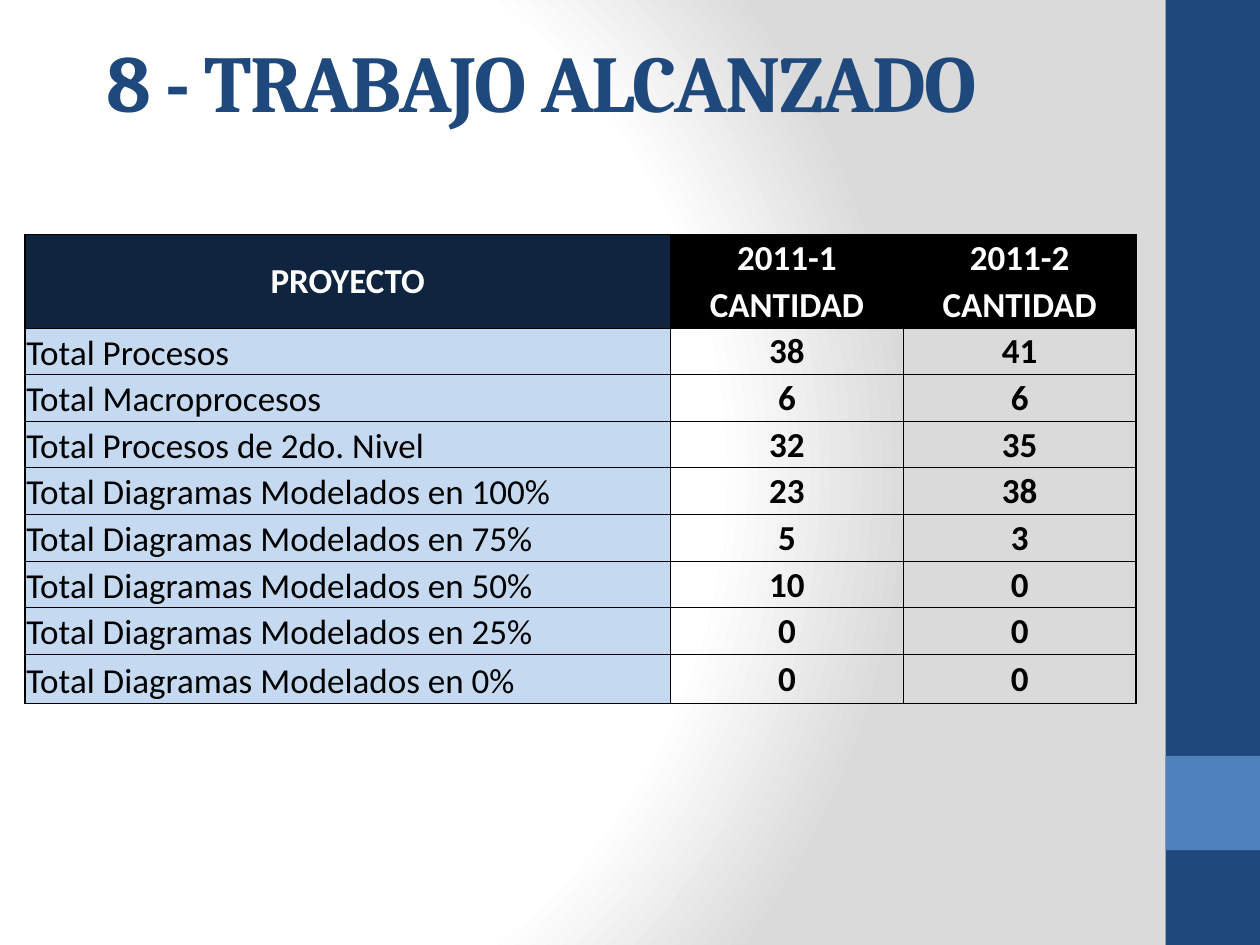
import pptx
import pptx.dml.color
import pptx.enum.shapes
import pptx.enum.text
import pptx.oxml
import pptx.oxml.ns
import pptx.util
from pptx.util import Cm, Pt

ANCHOR = pptx.enum.text.MSO_ANCHOR
ALIGN = pptx.enum.text.PP_ALIGN
NAVY, BLUE, HEADER, LABEL = "1F497D", "4F81BD", "0F243E", "C5D9F1"
WHITE, BLACK = "FFFFFF", "000000"

ROWS = [
    ("PROYECTO", "2011-1", "2011-2"),
    ("", "CANTIDAD", "CANTIDAD"),
    ("Total Procesos", "38", "41"),
    ("Total Macroprocesos", "6", "6"),
    ("Total Procesos de 2do. Nivel", "32", "35"),
    ("Total Diagramas Modelados en 100%", "23", "38"),
    ("Total Diagramas Modelados en 75%", "5", "3"),
    ("Total Diagramas Modelados en 50%", "10", "0"),
    ("Total Diagramas Modelados en 25%", "0", "0"),
    ("Total Diagramas Modelados en 0%", "0", "0"),
]
HEADER_ROWS = 2


def rgb(color):
    return pptx.dml.color.RGBColor.from_string(color)


def write(tf, text, size=20, font="Calibri", color=BLACK, bold=False, align=ALIGN.LEFT):
    p = tf.paragraphs[0]
    p.alignment = align
    r = p.add_run()
    r.text = text
    r.font.size, r.font.name, r.font.bold = Pt(size), font, bold
    r.font.color.rgb = rgb(color)
    return r


def set_background(s):
    """Give the slide a circular gradient from white to grey."""
    stops = "".join(
        f'<a:gs pos="{pos * 1000}"><a:srgbClr val="{color}"/></a:gs>'
        for pos, color in ((0, WHITE), (75, WHITE), (100, "DADADA")))
    bg = pptx.oxml.parse_xml(
        f'<p:bg {pptx.oxml.ns.nsdecls("p", "a")}><p:bgPr><a:gradFill rotWithShape="1">'
        f'<a:gsLst>{stops}</a:gsLst><a:path path="circle">'
        '<a:fillToRect l="20000" t="50000" r="100000" b="50000"/></a:path>'
        '</a:gradFill><a:effectLst/></p:bgPr></p:bg>')
    s._element.cSld.insert(0, bg)


def add_bar(s, top, height, color):
    sp = s.shapes.add_shape(pptx.enum.shapes.MSO_SHAPE.RECTANGLE,
                            Cm(23.5), Cm(top), Cm(1.9), Cm(height))
    sp.shadow.inherit = False
    sp.fill.solid()
    sp.fill.fore_color.rgb = rgb(color)
    sp.line.fill.background()


def add_title(s, text):
    sp = s.shapes.title
    sp.left, sp.top, sp.width, sp.height = Cm(1.9), Cm(0.33), Cm(21), Cm(2.57)
    tf = sp.text_frame
    tf.word_wrap = True
    tf.auto_size = pptx.enum.text.MSO_AUTO_SIZE.NONE
    tf.vertical_anchor = ANCHOR.MIDDLE
    r = write(tf, text, size=46, font="Cambria", color=NAVY, bold=True)
    r.font._element.set("spc", "-100")


def set_borders(cell, outer):
    """Draw black cell borders, thicker on the sides named in outer."""
    tcPr = cell._tc.get_or_add_tcPr()
    for i, side in enumerate("LRTB"):
        width = Pt(1 if side in outer else 0.5)
        tcPr.insert(i, pptx.oxml.parse_xml(
            f'<a:ln{side} {pptx.oxml.ns.nsdecls("a")} w="{width}"><a:solidFill>'
            f'<a:srgbClr val="{BLACK}"/></a:solidFill></a:ln{side}>'))


def format_cell(cell, text, header, label):
    cell.margin_left = cell.margin_right = cell.margin_top = Cm(0.03)
    cell.margin_bottom = 0
    body_label = label and not header
    cell.vertical_anchor = ANCHOR.BOTTOM if body_label else ANCHOR.MIDDLE
    if header or label:
        cell.fill.solid()
        cell.fill.fore_color.rgb = rgb(
            LABEL if body_label else HEADER if label else BLACK)
    else:
        cell.fill.background()
    if text:
        write(cell.text_frame, text, color=WHITE if header else BLACK,
              bold=not body_label, align=ALIGN.LEFT if body_label else ALIGN.CENTER)


def add_summary_table(s):
    widths = (13.02, 4.69, 4.69)
    heights = [0.94] * (len(ROWS) - 1) + [0.99]
    table = s.shapes.add_table(len(ROWS), len(widths), Cm(0.5), Cm(4.73),
                               Cm(sum(widths)), Cm(sum(heights))).table
    table.first_row = table.horz_banding = False
    for column, width in zip(table.columns, widths):
        column.width = Cm(width)
    for row, height in zip(table.rows, heights):
        row.height = Cm(height)
    for i, values in enumerate(ROWS):
        for j, text in enumerate(values):
            cell = table.cell(i, j)
            format_cell(cell, text, header=i < HEADER_ROWS, label=j == 0)
            edges = {"L": j == 0, "R": j == len(widths) - 1,
                     "T": i == 0, "B": i == len(ROWS) - 1}
            set_borders(cell, [side for side, on in edges.items() if on])
    table.cell(0, 0).merge(table.cell(HEADER_ROWS - 1, 0))


def main():
    prs = pptx.Presentation()
    prs.slide_width, prs.slide_height = Cm(25.4), Cm(19.05)
    s = prs.slides.add_slide(prs.slide_layouts[5])
    set_background(s)
    add_bar(s, 0, 19.05, NAVY)
    add_bar(s, 15.24, 1.9, BLUE)
    add_title(s, "8 - TRABAJO ALCANZADO")
    add_summary_table(s)
    prs.save("out.pptx")


if __name__ == "__main__":
    main()
